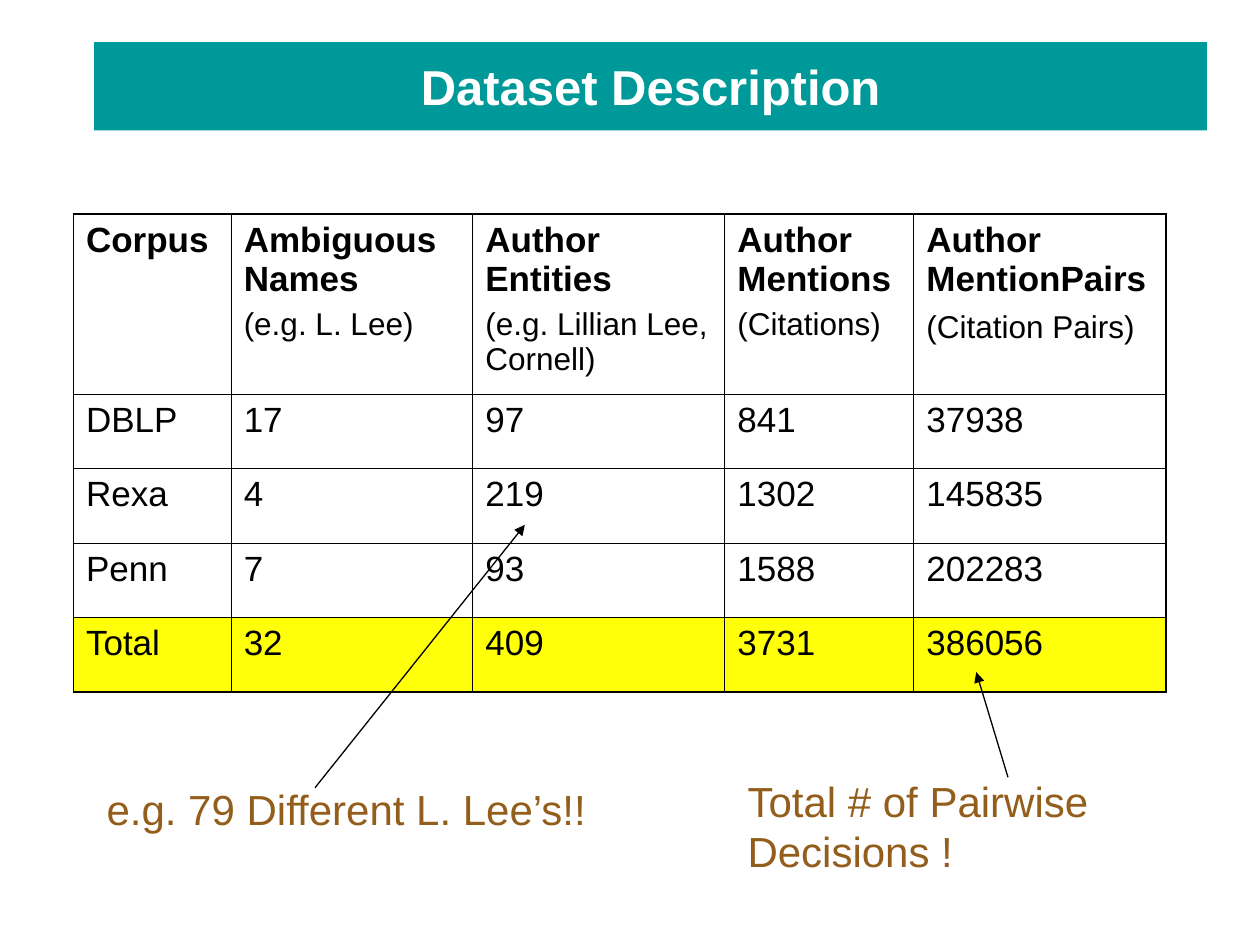
from typing import NamedTuple

from lxml.etree import SubElement
from pptx import Presentation
from pptx.dml.color import RGBColor
from pptx.enum.shapes import MSO_CONNECTOR as Connector, MSO_SHAPE as Shape
from pptx.enum.text import MSO_ANCHOR as Anchor, MSO_AUTO_SIZE as AutoSize, PP_ALIGN as Align
from pptx.oxml import parse_xml
from pptx.oxml.ns import nsdecls, qn
from pptx.util import Cm, Pt

COLOURS = {
    "teal": "009999",
    "yellow": "FFFF0A",
    "brown": "935D1B",
    "black": "000000",
    "white": "FFFFFF",
}
FONT = "Arial"
INNER_BORDER, OUTER_BORDER = Pt(0.45), Pt(1.08)

# Table geometry in centimetres
TABLE_LEFT, TABLE_TOP = 1.48, 4.32
COLUMN_WIDTHS = [3.18, 4.87, 5.08, 3.81, 5.08]
ROW_HEIGHTS = [3.63] + [1.5] * 4


class Box(NamedTuple):
    left: float
    top: float
    width: float
    height: float

    def lengths(self) -> list:
        return [Cm(value) for value in self]


class Header(NamedTuple):
    title: str
    example: str = ""
    gap: float = 4.5


class Note(NamedTuple):
    text: str
    box: Box


class Arrow(NamedTuple):
    start: tuple
    end: tuple


HEADERS = [
    Header("Corpus"),
    Header("Ambiguous Names", "(e.g. L. Lee)"),
    Header("Author Entities", "(e.g. Lillian Lee, Cornell)"),
    Header("Author Mentions", "(Citations)"),
    Header("Author MentionPairs", "(Citation Pairs)", 6.5),
]
CORPORA = [
    ["DBLP", "17", "97", "841", "37938"],
    ["Rexa", "4", "219", "1302", "145835"],
    ["Penn", "7", "93", "1588", "202283"],
    ["Total", "32", "409", "3731", "386056"],
]
NOTES = [
    Note("e.g. 79 Different L. Lee’s!!", Box(1.9, 15.67, 10.8, 1.28)),
    Note("Total # of Pairwise Decisions !", Box(14.82, 15.5, 9.73, 2.29)),
]
ARROWS = [
    Arrow((6.35, 15.88), (10.58, 10.58)),
    Arrow((20.32, 15.67), (19.68, 13.55)),
]


def colour(name: str) -> RGBColor:
    return RGBColor.from_string(COLOURS[name])


def style(paragraph, size: float, colour_name: str, bold: bool = False) -> None:
    for run in paragraph.runs:
        run.font.name = FONT
        run.font.size = Pt(size)
        run.font.bold = bold
        run.font.color.rgb = colour(colour_name)


def add_rectangle(slide, box: Box, fill: str):
    shape = slide.shapes.add_shape(Shape.RECTANGLE, *box.lengths())
    shape.shadow.inherit = False
    shape.fill.solid()
    shape.fill.fore_color.rgb = colour(fill)
    shape.line.fill.background()
    return shape


def set_borders(cell, row: int, column: int) -> None:
    outer_sides = {
        "L": column == 0,
        "R": column == len(COLUMN_WIDTHS) - 1,
        "T": row == 0,
        "B": row == len(ROW_HEIGHTS) - 1,
    }
    properties = cell._tc.get_or_add_tcPr()
    for index, (side, is_outer) in enumerate(outer_sides.items()):
        width = OUTER_BORDER if is_outer else INNER_BORDER
        border = parse_xml(
            f'<a:ln{side} {nsdecls("a")} w="{int(width)}"><a:solidFill>'
            f'<a:srgbClr val="{COLOURS["black"]}"/></a:solidFill></a:ln{side}>'
        )
        properties.insert(index, border)


def fill_header(cell, header: Header) -> None:
    cell.text_frame.text = header.title
    style(cell.text_frame.paragraphs[0], 20, "black", bold=True)
    if header.example:
        paragraph = cell.text_frame.add_paragraph()
        paragraph.text = header.example
        paragraph.space_before = Pt(header.gap)
        style(paragraph, 18, "black")


def add_corpus_table(slide) -> None:
    box = Box(TABLE_LEFT, TABLE_TOP, sum(COLUMN_WIDTHS), sum(ROW_HEIGHTS))
    table = slide.shapes.add_table(
        len(ROW_HEIGHTS), len(COLUMN_WIDTHS), *box.lengths()
    ).table
    table.first_row = table.horz_banding = False
    for column, width in zip(table.columns, COLUMN_WIDTHS):
        column.width = Cm(width)
    for row, height in zip(table.rows, ROW_HEIGHTS):
        row.height = Cm(height)
    for row_index in range(len(ROW_HEIGHTS)):
        for column_index, header in enumerate(HEADERS):
            cell = table.cell(row_index, column_index)
            cell.fill.background()
            set_borders(cell, row_index, column_index)
            if row_index == 0:
                fill_header(cell, header)
            else:
                cell.text_frame.text = CORPORA[row_index - 1][column_index]
                style(cell.text_frame.paragraphs[0], 20, "black")


def add_note(slide, note: Note) -> None:
    text_frame = slide.shapes.add_textbox(*note.box.lengths()).text_frame
    text_frame.word_wrap = True
    text_frame.auto_size = AutoSize.SHAPE_TO_FIT_TEXT
    text_frame.text = note.text
    style(text_frame.paragraphs[0], 24, "brown")


def add_arrow(slide, arrow: Arrow) -> None:
    ends = [Cm(value) for value in arrow.start + arrow.end]
    connector = slide.shapes.add_connector(Connector.STRAIGHT, *ends)
    connector.line.color.rgb = colour("black")
    connector.line.width = Pt(0.75)
    SubElement(connector.line._get_or_add_ln(), qn("a:tailEnd"), type="triangle")
    SubElement(connector._element.spPr, qn("a:effectLst"))


def main() -> None:
    presentation = Presentation()
    presentation.slide_width, presentation.slide_height = Cm(25.4), Cm(19.05)
    slide = presentation.slides.add_slide(presentation.slide_layouts[6])

    # Highlight behind the total row
    total_top = TABLE_TOP + sum(ROW_HEIGHTS[:-1])
    total_box = Box(TABLE_LEFT, total_top, sum(COLUMN_WIDTHS), ROW_HEIGHTS[-1])
    highlight = add_rectangle(slide, total_box, "yellow")
    highlight.line.color.rgb = colour("black")
    highlight.line.width = Pt(0.75)

    # Title bar
    title = add_rectangle(slide, Box(1.9, 0.85, 22.43, 1.78), "teal")
    title.text_frame.text = "Dataset Description"
    title.text_frame.vertical_anchor = Anchor.MIDDLE
    title.text_frame.paragraphs[0].alignment = Align.CENTER
    style(title.text_frame.paragraphs[0], 28, "white", bold=True)

    # Table, notes and the arrows pointing into the table
    add_corpus_table(slide)
    for note in NOTES:
        add_note(slide, note)
    for arrow in ARROWS:
        add_arrow(slide, arrow)

    presentation.save("out.pptx")


if __name__ == "__main__":
    main()
